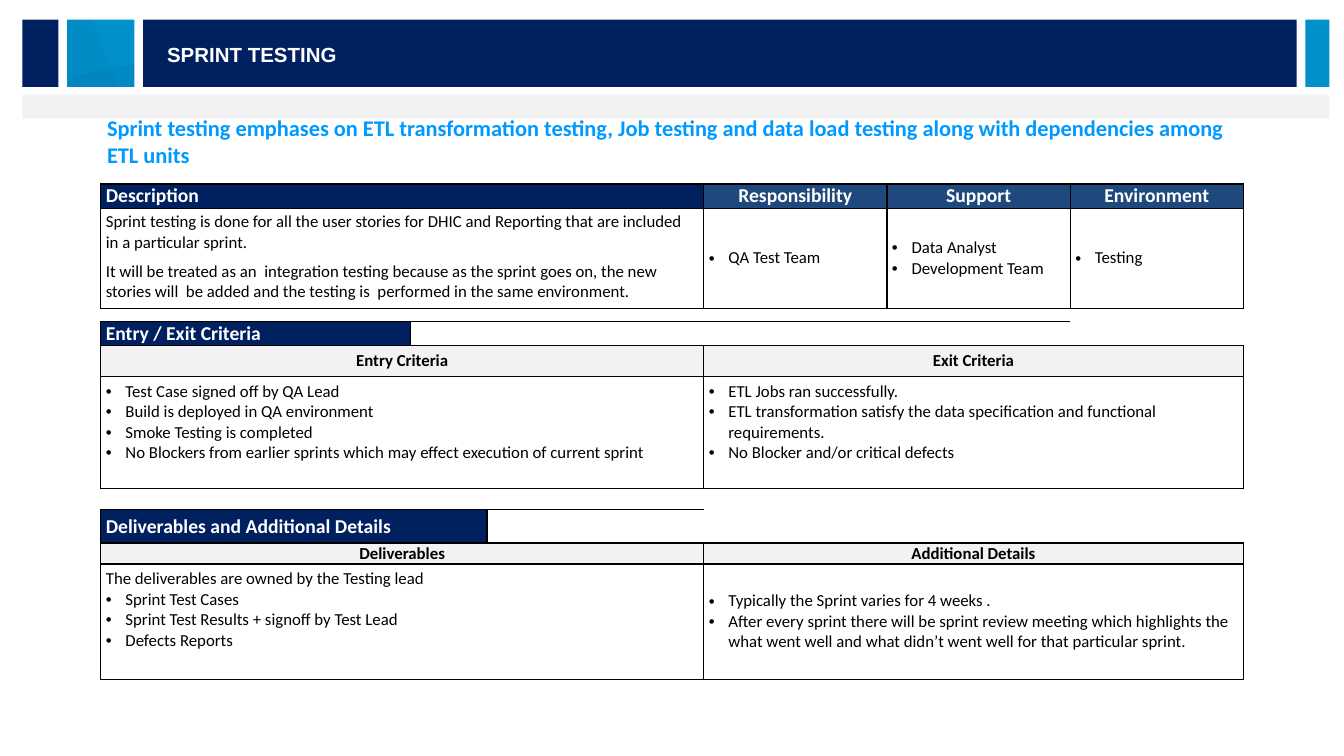
from lxml import etree
from pptx import Presentation
from pptx.dml.color import RGBColor
from pptx.enum import shapes, text
from pptx.oxml import ns
from pptx.util import Pt

COLORS = {"navy": "002060", "cyan": "0091CB", "pale": "F2F2F2", "slate": "17375E",
          "blue": "1F497D", "sky": "0099FF", "white": "FFFFFF", "black": "000000"}
NO_GRID_STYLE = "{2D5ABB26-0587-4C30-8999-92F81FD0307C}"


def add_span(para, words, font, size, color, bold):
    span = para.add_run()
    span.text = words
    span.font.name, span.font.size, span.font.bold = font, Pt(size), bold
    span.font.color.rgb = RGBColor.from_string(COLORS[color])


def paint(shape, color):
    shape.shadow.inherit = False
    shape.line.fill.background()
    shape.fill.solid()
    shape.fill.fore_color.rgb = RGBColor.from_string(COLORS[color])


deck = Presentation()
deck.slide_width, deck.slide_height = Pt(960), Pt(540)
page = deck.slides.add_slide(deck.slide_layouts[6])

# Header band
for left, top, width, height, color in [
        (102.2, 14, 824, 48, "navy"), (48, 14, 48, 48, "cyan"),
        (16, 14, 25.7, 48, "navy"), (932.4, 14, 17.2, 48, "cyan"),
        (16, 67.6, 933.6, 17, "pale")]:
    bar = page.shapes.add_shape(shapes.MSO_SHAPE.RECTANGLE,
                                Pt(left), Pt(top), Pt(width), Pt(height))
    paint(bar, color)

# Translucent facets on the cyan square
for points, color, alpha in [
        ([(48, 14), (65.5, 14), (85, 62), (48, 62)], "slate", 5),
        ([(95.5, 44.6), (48.6, 56.2), (48.6, 62), (95.5, 62)], "navy", 6)]:
    builder = page.shapes.build_freeform(*points[0], scale=Pt(1))
    builder.add_line_segments(points[1:], close=True)
    facet = builder.convert_to_shape()
    paint(facet, color)
    tint = facet.fill._xPr.find(".//" + ns.qn("a:srgbClr"))
    etree.SubElement(tint, ns.qn("a:alpha"), val=str(alpha * 1000))

# Heading and title
for left, top, width, height, anchor, words, font, size, color in [
        (69.4, 78, 821, 52.6, text.MSO_ANCHOR.TOP,
         "Sprint testing emphases on ETL transformation testing, Job testing and data "
         "load testing along with dependencies among ETL units", "Calibri", 16, "sky"),
        (112.3, 27, 592, 23.8, text.MSO_ANCHOR.MIDDLE,
         "SPRINT TESTING", "Arial", 14.6, "white")]:
    box = page.shapes.add_textbox(Pt(left), Pt(top), Pt(width), Pt(height))
    box.text_frame.word_wrap = True
    box.text_frame.vertical_anchor = anchor
    add_span(box.text_frame.paragraphs[0], words, font, size, color, True)

# Table grid
column_widths = [221, 54.9, 154.8, 130.9, 131, 123.6]
row_heights = [17.3, 71.5, 9.6, 17, 22, 80.4, 15, 23.7, 15, 82.5]
frame = page.shapes.add_table(len(row_heights), len(column_widths), Pt(72), Pt(131.4),
                              Pt(sum(column_widths)), Pt(sum(row_heights)))
table = frame.table
table.first_row = table.horz_banding = False
table._tbl.tblPr.find(ns.qn("a:tableStyleId")).text = NO_GRID_STYLE
for column, width in zip(table.columns, column_widths):
    column.width = Pt(width)
for row, height in zip(table.rows, row_heights):
    row.height = Pt(height)

# Small type keeps the empty cells from stretching their rows
for cell in table.iter_cells():
    cell.margin_left = cell.margin_right = Pt(3.6)
    cell.margin_top = cell.margin_bottom = 0
    etree.SubElement(cell.text_frame.paragraphs[0]._p, ns.qn("a:endParaRPr"), sz="400")

# Empty gaps between the sections
for row, first, last in [(2, 0, 4), (3, 1, 5), (6, 0, 2), (6, 3, 5), (7, 2, 5)]:
    table.cell(row, first).merge(table.cell(row, last))

# Cell styles: fill, size, colour, bold, centred, anchor, vertical margin, space after
MIDDLE, TOP = text.MSO_ANCHOR.MIDDLE, text.MSO_ANCHOR.TOP
STYLES = {
    "section": ("navy", 14, "white", True, False, MIDDLE, 0, 0),
    "heading": ("blue", 14, "white", True, True, MIDDLE, 0, 0),
    "label": ("pale", 12, "black", True, True, MIDDLE, 0, 0),
    "summary": ("white", 12, "black", False, False, TOP, 2.7, 6),
    "middle": ("white", 12, "black", False, False, MIDDLE, 0, 0),
    "top": ("white", 12, "black", False, False, TOP, 3.6, 0),
}

# Cells: row, first column, last column, style, paragraphs
cells = [
    (0, 0, 2, "section", ["Description"]),
    (0, 3, 3, "heading", ["Responsibility"]),
    (0, 4, 4, "heading", ["Support"]),
    (0, 5, 5, "heading", ["Environment"]),
    (1, 0, 2, "summary", [
        "Sprint testing is done for all the user stories for DHIC and Reporting that "
        "are included in a particular sprint.",
        "It will be treated as an  integration testing because as the sprint goes on, "
        "the new stories will  be added and the testing is  performed in the same "
        "environment."]),
    (1, 3, 3, "middle", ["• QA Test Team"]),
    (1, 4, 4, "middle", ["• Data Analyst", "• Development Team"]),
    (1, 5, 5, "middle", ["• Testing"]),
    (3, 0, 0, "section", ["Entry / Exit Criteria"]),
    (4, 0, 2, "label", ["Entry Criteria"]),
    (4, 3, 5, "label", ["Exit Criteria"]),
    (5, 0, 2, "top", [
        "• Test Case signed off by QA Lead",
        "• Build is deployed in QA environment",
        "• Smoke Testing is completed",
        "• No Blockers from earlier sprints which may effect execution of current sprint"]),
    (5, 3, 5, "top", [
        "• ETL Jobs ran successfully.",
        "• ETL transformation satisfy the data specification and functional requirements.",
        "• No Blocker and/or critical defects"]),
    (7, 0, 1, "section", ["Deliverables and Additional Details"]),
    (8, 0, 2, "label", ["Deliverables"]),
    (8, 3, 5, "label", ["Additional Details"]),
    (9, 0, 2, "top", [
        "The deliverables are owned by the Testing lead",
        "• Sprint Test Cases",
        "• Sprint Test Results + signoff by Test Lead",
        "• Defects Reports"]),
    (9, 3, 5, "middle", [
        "• Typically the Sprint varies for 4 weeks .",
        "• After every sprint there will be sprint review meeting which highlights the "
        "what went well and what didn’t went well for that particular sprint."]),
]

for row, first, last, style, lines in cells:
    fill, size, color, bold, centred, anchor, margin, after = STYLES[style]
    cell = table.cell(row, first)
    if last > first:
        cell.merge(table.cell(row, last))
    cell.vertical_anchor = anchor
    cell.margin_top = cell.margin_bottom = Pt(margin)
    if style == "summary":
        cell.margin_right = Pt(7.2)

    # Borders come before the fill; merging hides the inner ones
    for col in range(first, last + 1):
        props = table.cell(row, col)._tc.get_or_add_tcPr()
        for side in ("lnL", "lnR", "lnT", "lnB"):
            edge = etree.SubElement(props, ns.qn("a:" + side), w=str(Pt(1)))
            ink = etree.SubElement(edge, ns.qn("a:solidFill"))
            etree.SubElement(ink, ns.qn("a:srgbClr"), val=COLORS["black"])
    cell.fill.solid()
    cell.fill.fore_color.rgb = RGBColor.from_string(COLORS[fill])

    for index, line in enumerate(lines):
        body = cell.text_frame
        para = body.paragraphs[0] if index == 0 else body.add_paragraph()
        para.space_after = Pt(after)
        para.alignment = text.PP_ALIGN.CENTER if centred else text.PP_ALIGN.LEFT
        if line.startswith("• "):
            layout = para._p.get_or_add_pPr()
            layout.set("marL", str(Pt(14)))
            layout.set("indent", str(-Pt(14)))
            etree.SubElement(layout, ns.qn("a:buFont"), typeface="Arial")
            etree.SubElement(layout, ns.qn("a:buChar"), char="•")
        add_span(para, line.removeprefix("• "), "Calibri", size, color, bold)

deck.save("out.pptx")
